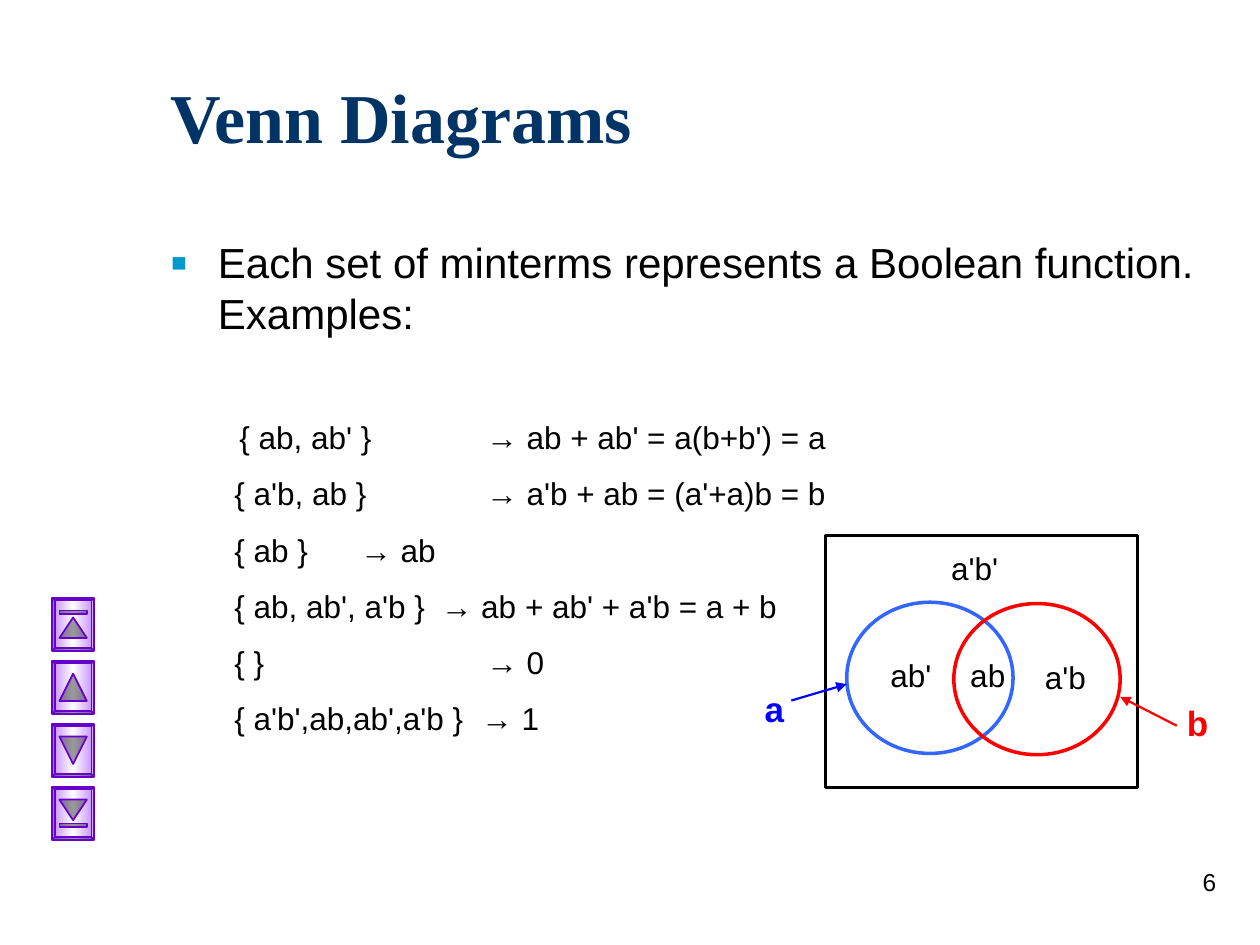
"""Build the Venn Diagrams slide with its examples and navigation buttons."""
from lxml import etree
from pptx import Presentation
from pptx.dml.color import RGBColor
from pptx.enum.shapes import MSO_CONNECTOR, MSO_SHAPE
from pptx.enum.text import MSO_ANCHOR, MSO_AUTO_SIZE, PP_ALIGN
from pptx.oxml import parse_xml
from pptx.oxml.ns import nsdecls, qn
from pptx.util import Inches, Pt

LEFT, CENTER, RIGHT = PP_ALIGN.LEFT, PP_ALIGN.CENTER, PP_ALIGN.RIGHT
RECTANGLE, OVAL, BEVEL = MSO_SHAPE.RECTANGLE, MSO_SHAPE.OVAL, MSO_SHAPE.BEVEL
STRAIGHT = MSO_CONNECTOR.STRAIGHT
COLORS = {
    "title": "003366", "text": "000000", "bullet": "0099CC",
    "circle_a": "3366FF", "label_a": "0000FF", "b": "FF0000",
    "button": "CC99FF", "button_middle": "FFFFFF", "button_line": "6600CC",
}


def write(para, text, size=18, color="text", bold=False, align=LEFT, font="Arial"):
    para.alignment = align
    span = para.add_run()
    span.text = text
    span.font.size = Pt(size)
    span.font.name = font
    span.font.bold = bold
    span.font.color.rgb = RGBColor.from_string(COLORS[color])


def set_line(shape, color, width):
    shape.line.color.rgb = RGBColor.from_string(COLORS[color])
    shape.line.width = Pt(width)


deck = Presentation()
deck.slide_width, deck.slide_height = Inches(10), Inches(7.5)
page = deck.slides.add_slide(deck.slide_layouts[1])

title, body = page.shapes.title, page.placeholders[1]
for holder, top, height in ((title, 0.5, 0.83), (body, 1.83, 4.08)):
    holder.left, holder.top = Inches(1.25), Inches(top)
    holder.width, holder.height = Inches(8.5), Inches(height)
    holder.text_frame.word_wrap = True
    holder.text_frame.auto_size = MSO_AUTO_SIZE.NONE
title.text_frame.vertical_anchor = MSO_ANCHOR.MIDDLE
write(title.text_frame.paragraphs[0], "Venn Diagrams", size=40, color="title",
      bold=True, font="Times New Roman")

para = body.text_frame.paragraphs[0]
props = para._p.get_or_add_pPr()
props.set("marL", str(Inches(0.38)))
props.set("indent", str(Inches(-0.38)))
bullet_color = etree.SubElement(props, qn("a:buClr"))
etree.SubElement(bullet_color, qn("a:srgbClr"), val=COLORS["bullet"])
etree.SubElement(props, qn("a:buSzPct"), val="120000")
etree.SubElement(props, qn("a:buFont"), typeface="Arial")
etree.SubElement(props, qn("a:buChar"), char="▪")
para.space_before = Pt(0)
write(para, "Each set of minterms represents a Boolean function. Examples:", size=24)

examples = [
    ("{ ab, ab' }", "ab + ab' = a(b+b') = a", 0.55, 2.51, 46),
    ("{ a'b, ab }", "a'b + ab = (a'+a)b = b", 0.51, 2.51, 4.5),
    ("{ ab }", "ab", 0.51, 1.51, 4.5),
    ("{ ab, ab', a'b }", "ab + ab' + a'b = a + b", 0.51, 2.15, 4.5),
    ("{ }", "0", 0.51, 2.51, 4.5),
    ("{ a'b',ab,ab',a'b }", "1", 0.51, 2.47, 4.5),
]
for minterms, function, indent, tab, before in examples:
    para = body.text_frame.add_paragraph()
    props = para._p.get_or_add_pPr()
    props.set("marL", "0")
    props.set("indent", str(Inches(indent)))
    props.set("defTabSz", str(Inches(tab)))
    etree.SubElement(props, qn("a:buNone"))
    para.space_before, para.space_after = Pt(before), Pt(6)
    write(para, f"{minterms}\t→ {function}")

outlines = [
    (RECTANGLE, 6.55, 4.25, 2.48, 2, "text", 1.75),
    (OVAL, 6.72, 4.78, 1.32, 1.2, "circle_a", 2),
    (OVAL, 7.57, 4.79, 1.32, 1.2, "b", 2),
]
for kind, left, top, width, height, color, weight in outlines:
    shape = page.shapes.add_shape(
        kind, Inches(left), Inches(top), Inches(width), Inches(height))
    shape.shadow.inherit = False
    shape.fill.background()
    set_line(shape, color, weight)

labels = [
    ("ab'", 6.88, 5.16, 0.7, 0.5, {"align": CENTER}),
    ("a'b", 8.08, 5.17, 0.75, 0.5, {"align": CENTER}),
    ("a'b'", 7.25, 4.31, 0.97, 0.5, {"align": CENTER}),
    ("ab", 7.56, 5.16, 0.56, 0.5, {"align": CENTER}),
    ("a", 5.92, 5.41, 0.45, 0.48,
     {"align": CENTER, "size": 20, "color": "label_a", "bold": True}),
    ("b", 9.26, 5.52, 0.49, 0.4,
     {"align": CENTER, "size": 20, "color": "b", "bold": True}),
    ("6", 7.67, 6.83, 2.08, 0.5, {"align": RIGHT, "size": 14}),
]
for text, left, top, width, height, style in labels:
    box = page.shapes.add_textbox(
        Inches(left), Inches(top), Inches(width), Inches(height))
    box.text_frame.word_wrap = True
    write(box.text_frame.paragraphs[0], text, **style)

arrows = [
    (6.28, 5.56, 6.72, 5.43, "label_a"),
    (9.34, 5.76, 8.89, 5.53, "b"),
]
for start_x, start_y, end_x, end_y, color in arrows:
    arrow = page.shapes.add_connector(
        STRAIGHT, Inches(start_x), Inches(start_y), Inches(end_x), Inches(end_y))
    set_line(arrow, color, 1.25)
    etree.SubElement(arrow.line._get_or_add_ln(), qn("a:tailEnd"), type="triangle")
    etree.SubElement(arrow._element.spPr, qn("a:effectLst"))

buttons = [
    MSO_SHAPE.ACTION_BUTTON_BEGINNING,
    MSO_SHAPE.ACTION_BUTTON_BACK_OR_PREVIOUS,
    MSO_SHAPE.ACTION_BUTTON_FORWARD_OR_NEXT,
    MSO_SHAPE.ACTION_BUTTON_END,
]
for row, icon in enumerate(buttons):
    for kind, inset in ((BEVEL, 0), (icon, 0.02)):
        button = page.shapes.add_shape(
            kind, Inches(0.37 + inset), Inches(4.79 + 0.5 * row + inset),
            Inches(0.42 - 2 * inset), Inches(0.33 - 2 * inset))
        if kind == BEVEL:
            button.adjustments[0] = 0.06
        button.rotation = 90
        button.shadow.inherit = False
        set_line(button, "button_line", 1)
        button.fill.gradient()
        button.fill.gradient_angle = 270
        for stop in button.fill.gradient_stops:
            stop.color.rgb = RGBColor.from_string(COLORS["button"])
        stops = button._element.spPr.find(".//" + qn("a:gsLst"))
        stops.insert(1, parse_xml(
            f'<a:gs {nsdecls("a")} pos="50000">'
            f'<a:srgbClr val="{COLORS["button_middle"]}"/></a:gs>'))

deck.save("out.pptx")
